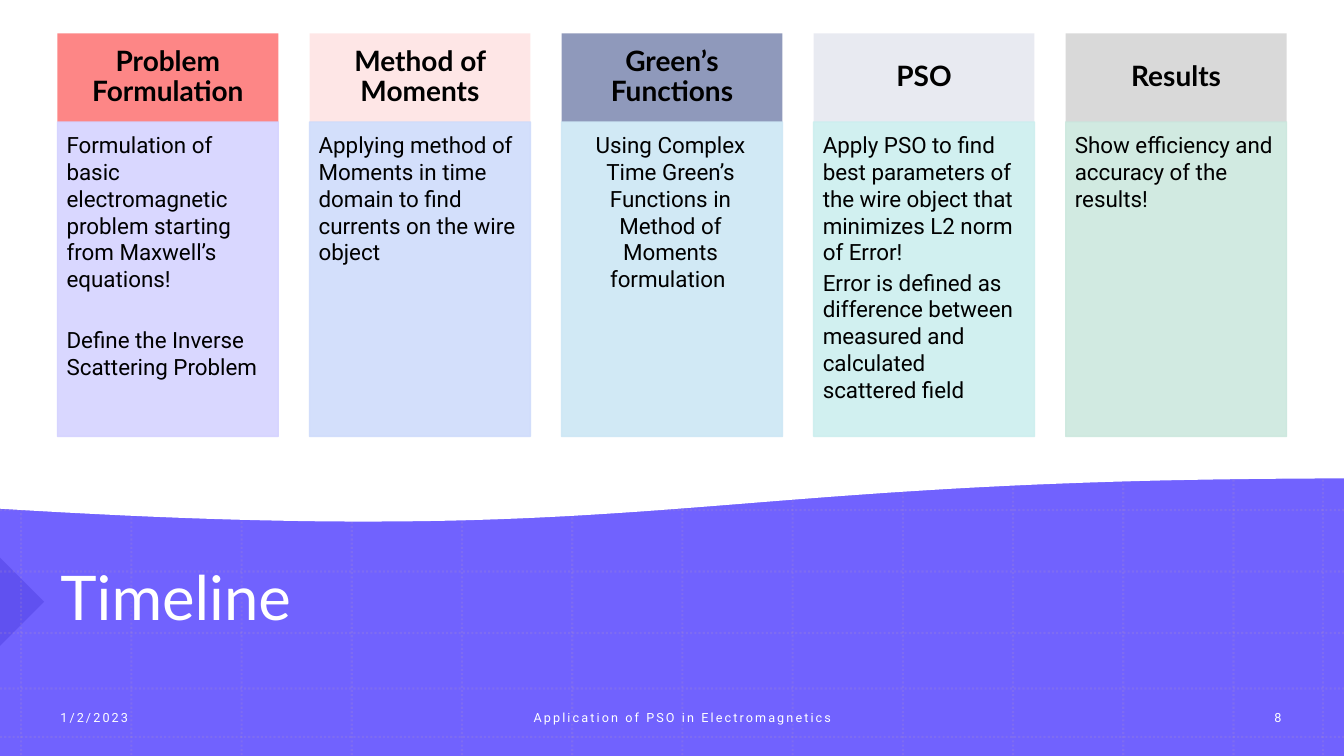
from dataclasses import dataclass

from lxml.etree import SubElement
from pptx import Presentation
from pptx.dml.color import RGBColor
from pptx.enum.dml import MSO_LINE
from pptx.enum.shapes import MSO_CONNECTOR, MSO_SHAPE
from pptx.enum.text import MSO_ANCHOR as Anchor, PP_ALIGN as Align
from pptx.oxml.ns import qn
from pptx.util import Inches, Pt


@dataclass(frozen=True)
class Theme:
    violet: str = "7162FE"
    marker: str = "1201AF"
    grid: str = "B495C2"
    white: str = "FFFFFF"
    black: str = "000000"
    heading_font: str = "Lato"
    body_font: str = "Roboto"
    title_size: float = 44
    heading_size: float = 20
    body_size: float = 16
    footer_size: float = 9


THEME = Theme()
WIDTH, HEIGHT = 13.33, 7.5
HEAD_SHARE = 0.22  # part of a stage's height taken by its heading

# Heading, heading fill and opacity, body fill, body alignment, paragraphs
STAGES = [
    ("Problem Formulation", "FD8686", 100, "D5D3FF", Align.LEFT,
     ["Formulation of basic electromagnetic problem starting from Maxwell’s equations!",
      "Define the Inverse Scattering Problem"]),
    ("Method of Moments", "FD8686", 20, "CFDCFB", Align.LEFT,
     ["Applying method of Moments in time domain to find currents on the wire object"]),
    ("Green’s Functions", "8F99BB", 100, "CDE7F5", Align.CENTER,
     ["Using Complex Time Green’s Functions in Method of Moments formulation "]),
    ("PSO", "8F99BB", 20, "CCEFEF", Align.LEFT,
     ["Apply PSO to find best parameters of the wire object that minimizes L2 norm of Error!",
      "Error is defined as difference between measured and calculated scattered field"]),
    ("Results", "D9D9D9", 100, "CCE8DE", Align.LEFT,
     ["Show efficiency and accuracy of the results!"]),
]
# Extra space in points above a stage's second paragraph
PARAGRAPH_GAPS = {"Problem Formulation": 22}


def inches(*lengths):
    return [Inches(length) for length in lengths]


def set_opacity(part, percent):
    if percent < 100:
        for colour in part._element.spPr.iter(qn("a:srgbClr")):
            SubElement(colour, qn("a:alpha")).set("val", str(percent * 1000))


def paint(shape, fill, line=None, opacity=100):
    shape.shadow.inherit = False
    shape.fill.solid()
    shape.fill.fore_color.rgb = RGBColor.from_string(fill)
    if line:
        shape.line.color.rgb = RGBColor.from_string(line)
        shape.line.width = Pt(1)
    else:
        shape.line.fill.background()
    set_opacity(shape, opacity)


def add_panel(slide, box, kind=MSO_SHAPE.RECTANGLE, **look):
    panel = slide.shapes.add_shape(kind, *inches(*box))
    paint(panel, **look)
    return panel


def set_frame(frame, anchor, insets):
    frame.word_wrap = True
    frame.vertical_anchor = anchor
    (frame.margin_left, frame.margin_top,
     frame.margin_right, frame.margin_bottom) = inches(*insets)


def set_paragraph(paragraph, text, font, size, colour, align=Align.LEFT, bold=False):
    paragraph.text = text
    paragraph.alignment = align
    paragraph.font.name = font
    paragraph.font.size = Pt(size)
    paragraph.font.bold = bold
    paragraph.font.color.rgb = RGBColor.from_string(colour)


def add_grid_line(slide, *ends):
    rule = slide.shapes.add_connector(MSO_CONNECTOR.STRAIGHT, *inches(*ends))
    rule.line.color.rgb = RGBColor.from_string(THEME.grid)
    rule.line.width = Pt(1.5)
    rule.line.dash_style = MSO_LINE.ROUND_DOT
    set_opacity(rule, 20)
    SubElement(rule._element.spPr, qn("a:effectLst"))


def add_wave(slide, width):
    """White sheet whose lower edge is a cubic curve."""
    xs, ys = (width, 6.7, 6.66, 0), (4.74, 4.74, 5.45, 5.04)
    steps = 60
    edge = []
    for step in range(steps + 1):
        t = step / steps
        weights = ((1 - t) ** 3, 3 * t * (1 - t) ** 2, 3 * t * t * (1 - t), t ** 3)
        edge.append(tuple(Inches(sum(w * v for w, v in zip(weights, axis)))
                          for axis in (xs, ys)))
    builder = slide.shapes.build_freeform(*inches(0, -0.03), scale=1.0)
    builder.add_line_segments([tuple(inches(width, -0.03)), *edge], close=True)
    paint(builder.convert_to_shape(), THEME.white, THEME.white)


def add_backdrop(slide, box):
    left, top, width, height = box
    add_panel(slide, box, fill=THEME.violet)

    # Marker pointing at the title
    side = 0.62
    marker = add_panel(slide, (left - side / 2, 5.66, side, side),
                       MSO_SHAPE.RIGHT_TRIANGLE, fill=THEME.marker, opacity=17)
    marker.rotation = 225

    # Dotted grid, with rows only below the wave
    for x in [0.21 + column * width * 0.082 for column in range(12)] + [13.12]:
        add_grid_line(slide, left + x, top, left + x, top + height)
    for y in (5.06, 5.67, 6.28, 6.83, 7.31):
        add_grid_line(slide, left, top + y, left + width, top + y)

    add_wave(slide, width + 0.02)


def add_title(slide, box):
    title = slide.shapes.title
    title.left, title.top, title.width, title.height = inches(*box)
    set_frame(title.text_frame, Anchor.MIDDLE, (0.1, 0.05, 0.1, 0.05))
    heading = title.text_frame.paragraphs[0]
    set_paragraph(heading, "Timeline", THEME.heading_font, THEME.title_size, THEME.white)
    heading.line_spacing = 0.9
    # Bring the title in front of the backdrop
    slide.shapes._spTree.append(title._element)


def add_footer(slide, box):
    left, top, width, height = box
    # Text, offset and width as shares of the footer, alignment
    entries = [
        ("1/2/2023", 0, 0.222, Align.LEFT),
        ("Application of PSO in Electromagnetics", 0.324, 0.346, Align.CENTER),
        ("8", 0.931, 0.069, Align.CENTER),
    ]
    for text, offset, share, align in entries:
        entry = slide.shapes.add_textbox(
            *inches(left + offset * width, top, share * width, height))
        set_frame(entry.text_frame, Anchor.MIDDLE, (0.1, 0.05, 0.1, 0.05))
        line = entry.text_frame.paragraphs[0]
        set_paragraph(line, text, THEME.body_font, THEME.footer_size, THEME.white, align)
        line.runs[0].font._element.set("spc", "150")


def add_stage(slide, box, heading, head_fill, opacity, body_fill, align, details):
    left, top, width, height = box
    head_height = height * HEAD_SHARE

    # Heading
    head = add_panel(slide, (left, top, width, head_height), fill=head_fill, opacity=opacity)
    set_frame(head.text_frame, Anchor.MIDDLE, (0.16, 0.09, 0.16, 0.09))
    label = head.text_frame.paragraphs[0]
    set_paragraph(label, heading, THEME.heading_font, THEME.heading_size,
                  THEME.black, Align.CENTER, bold=True)
    label.line_spacing = 0.9

    # Details
    body = add_panel(slide, (left, top + head_height, width, height - head_height),
                     fill=body_fill, line=body_fill, opacity=90)
    frame = body.text_frame
    set_frame(frame, Anchor.TOP, (0.09, 0.09, 0.12, 0.14))
    for index, detail in enumerate(details):
        paragraph = frame.add_paragraph() if index else frame.paragraphs[0]
        set_paragraph(paragraph, detail, THEME.body_font, THEME.body_size, THEME.black, align)
        paragraph.space_after = Pt(2.4)
        if index:
            paragraph.space_before = Pt(PARAGRAPH_GAPS.get(heading, 0))


def add_timeline(slide, box):
    left, top, width, height = box
    gap = 0.31
    stage_width = (width - gap * (len(STAGES) - 1)) / len(STAGES)
    for index, stage in enumerate(STAGES):
        x = left + index * (stage_width + gap)
        add_stage(slide, (x, top, stage_width, height), *stage)


def main():
    deck = Presentation()
    deck.slide_width, deck.slide_height = inches(WIDTH, HEIGHT)
    slide = deck.slides.add_slide(deck.slide_layouts[5])
    add_backdrop(slide, (0, 0, WIDTH, HEIGHT))
    add_title(slide, (0.5, 5.09, 11.75, 1.74))
    add_footer(slide, (0.5, 6.92, 12.61, 0.4))
    add_timeline(slide, (0.57, 0.33, 12.19, 4))
    deck.save("out.pptx")


if __name__ == "__main__":
    main()
